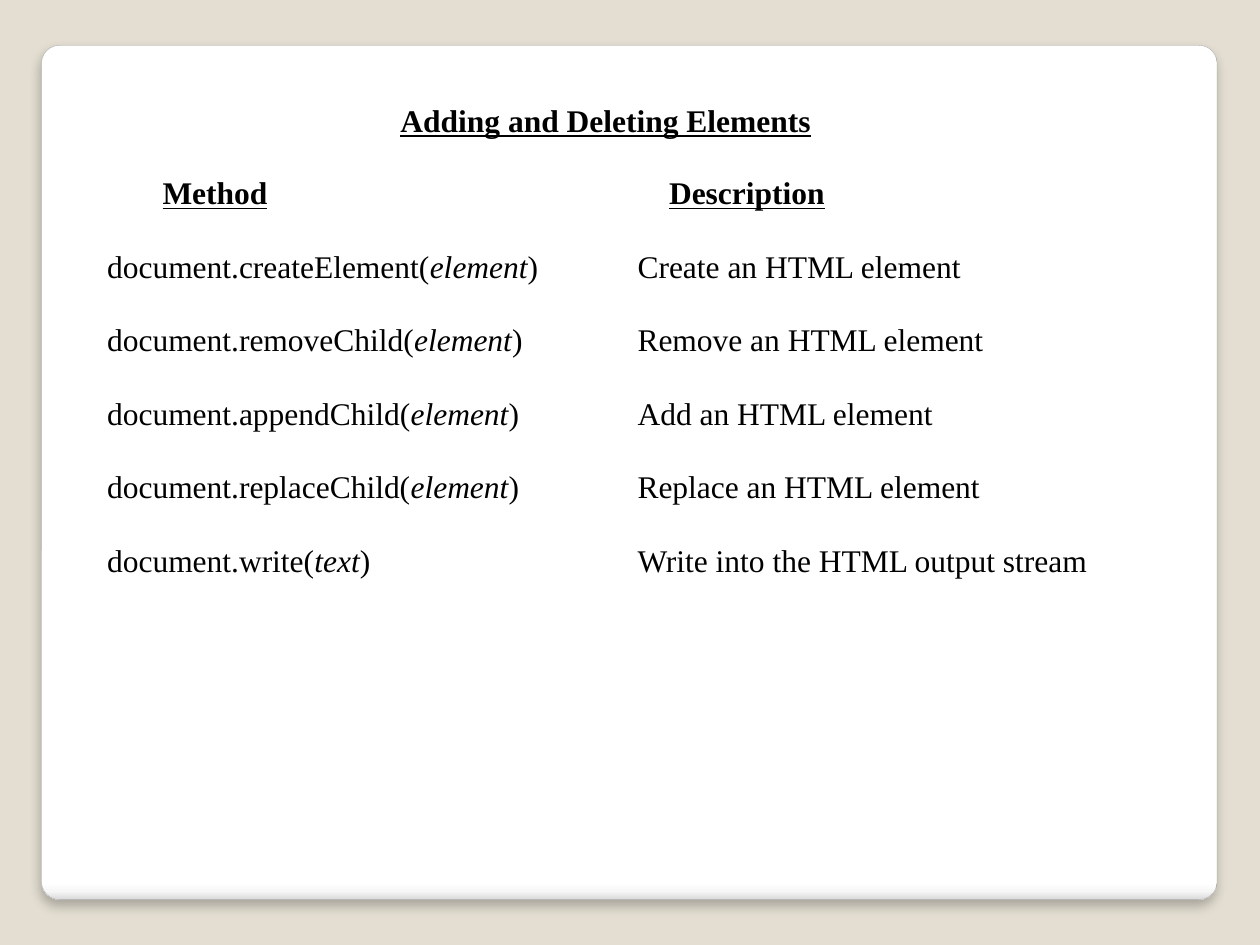
from lxml import etree
from pptx import Presentation
from pptx.dml.color import RGBColor
from pptx.enum.shapes import MSO_SHAPE
from pptx.enum.text import MSO_ANCHOR, MSO_AUTO_SIZE
from pptx.oxml import parse_xml
from pptx.oxml.ns import nsdecls, qn
from pptx.util import Inches, Pt

ROUND = MSO_SHAPE.ROUNDED_RECTANGLE
MIDDLE = MSO_ANCHOR.MIDDLE
GROW = MSO_AUTO_SIZE.SHAPE_TO_FIT_TEXT
FONT = "Times New Roman"
PLAIN_STYLE = "{2D5ABB26-0587-4C30-8999-92F81FD0307C}"  # no style, no grid

STOPS = [(0, "FFFFFF"), (98, "FFFFFF"), (99, "F7F7F7"), (100, "DADADA")]
HEADS = [("Method", 0.54), ("Description", 0.35)]  # text, left margin
ROWS = [
    ("document.createElement", "element", "Create an HTML element"),
    ("document.removeChild", "element", "Remove an HTML element"),
    ("document.appendChild", "element", "Add an HTML element"),
    ("document.replaceChild", "element", "Replace an HTML element"),
    ("document.write", "text", "Write into the HTML output stream"),
]


def color(code):
    return RGBColor.from_string(code)


def add_run(para, text, head=False, slant=False):
    run = para.add_run()
    run.text = text
    font = run.font
    font.name, font.size = FONT, Pt(18)
    font.bold = font.underline = head
    font.italic = slant
    font.color.rgb = color("000000")


def add_card(slide):
    card = slide.shapes.add_shape(
        ROUND, Inches(0.33), Inches(0.36), Inches(9.33), Inches(7.14 - 0.36))
    card.adjustments[0] = 0.021
    card.line.color.rgb = color("A4A4A4")
    card.line.width = Pt(0.16)

    # White fill that darkens at the bottom edge
    card.fill.gradient()
    card.fill.gradient_angle = 270
    props = card._element.spPr
    stops = props.find(".//" + qn("a:gsLst"))
    for old in list(stops):
        stops.remove(old)
    for pos, code in STOPS:
        stop = etree.SubElement(stops, qn("a:gs"), pos=str(pos * 1000))
        etree.SubElement(stop, qn("a:srgbClr"), val=code)

    # Soft shadow below
    props.append(parse_xml(
        f'<a:effectLst {nsdecls("a")}>'
        f'<a:outerShdw blurRad="{Pt(6)}" dist="{Pt(4)}" dir="5400000" '
        'algn="tl" rotWithShape="0"><a:srgbClr val="000000">'
        '<a:alpha val="25000"/></a:srgbClr></a:outerShdw></a:effectLst>'))


def add_title(slide, text):
    box = slide.shapes.add_textbox(
        Inches(3.08), Inches(0.75), Inches(3.49), Inches(0.4))
    frame = box.text_frame
    frame.word_wrap = False
    frame.auto_size = GROW
    add_run(frame.paragraphs[0], text, head=True)


def get_para(cell):
    cell.fill.background()
    cell.vertical_anchor = MIDDLE
    return cell.text_frame.paragraphs[0]


def add_grid(slide):
    frame = slide.shapes.add_table(
        len(ROWS) + 1, len(HEADS),
        Inches(0.75), Inches(1.25), Inches(8.42), Inches(3.5))
    grid = frame.table
    grid.horz_banding = False
    grid._tbl.tblPr.find(qn("a:tableStyleId")).text = PLAIN_STYLE

    # Header row, indented by its cell margins
    for col, (text, left) in enumerate(HEADS):
        cell = grid.cell(0, col)
        cell.margin_left = Inches(left)
        add_run(get_para(cell), text, head=True)

    # Method calls with slanted arguments
    for row, (call, arg, note) in enumerate(ROWS, 1):
        para = get_para(grid.cell(row, 0))
        add_run(para, call + "(")
        add_run(para, arg, slant=True)
        add_run(para, ")")
        add_run(get_para(grid.cell(row, 1)), note)


def main():
    deck = Presentation()
    deck.slide_width, deck.slide_height = Inches(10), Inches(7.5)
    slide = deck.slides.add_slide(deck.slide_layouts[6])
    back = slide.background.fill
    back.solid()
    back.fore_color.rgb = color("E3DED1")
    add_card(slide)
    add_grid(slide)
    add_title(slide, "Adding and Deleting Elements")
    deck.save("out.pptx")


main()
